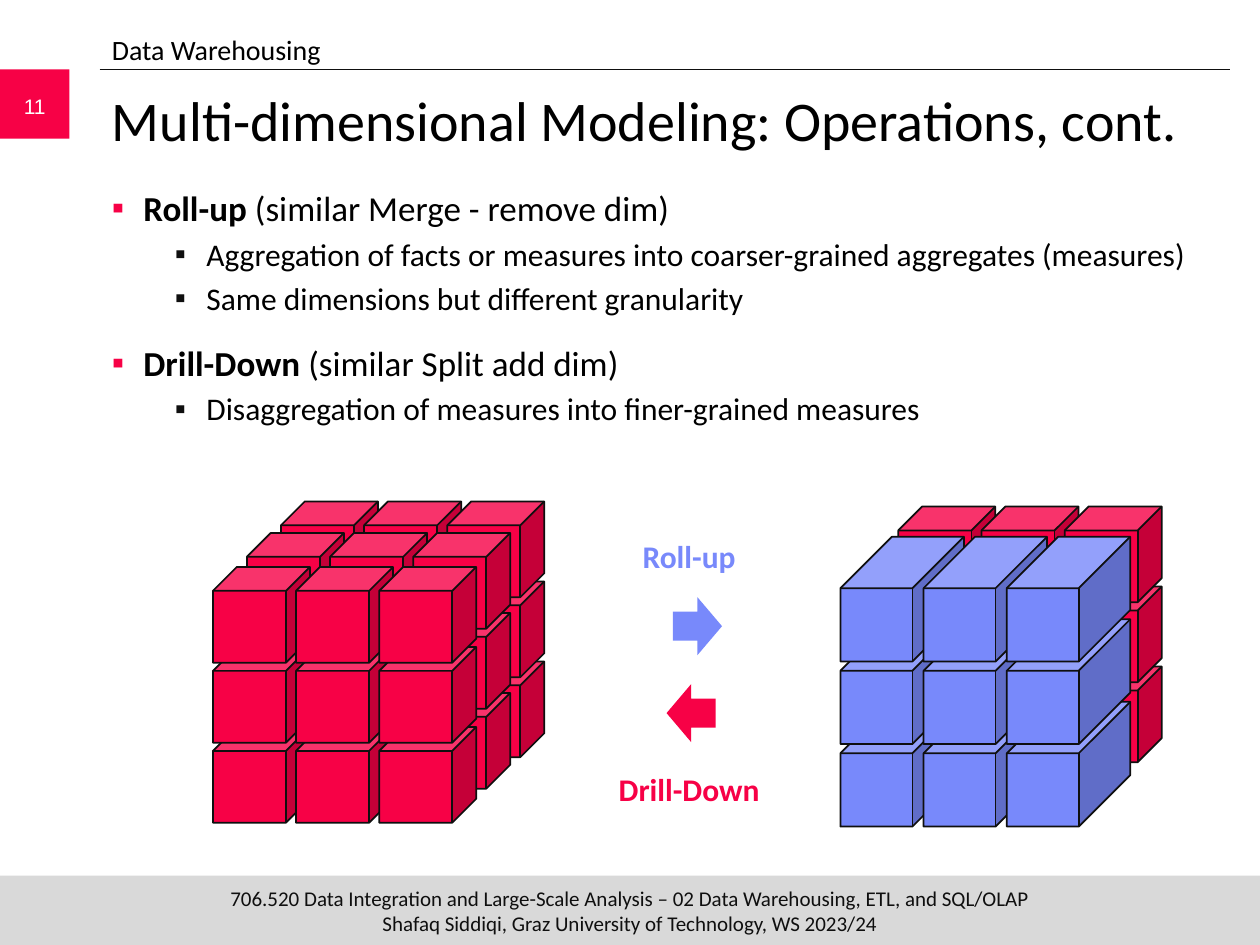
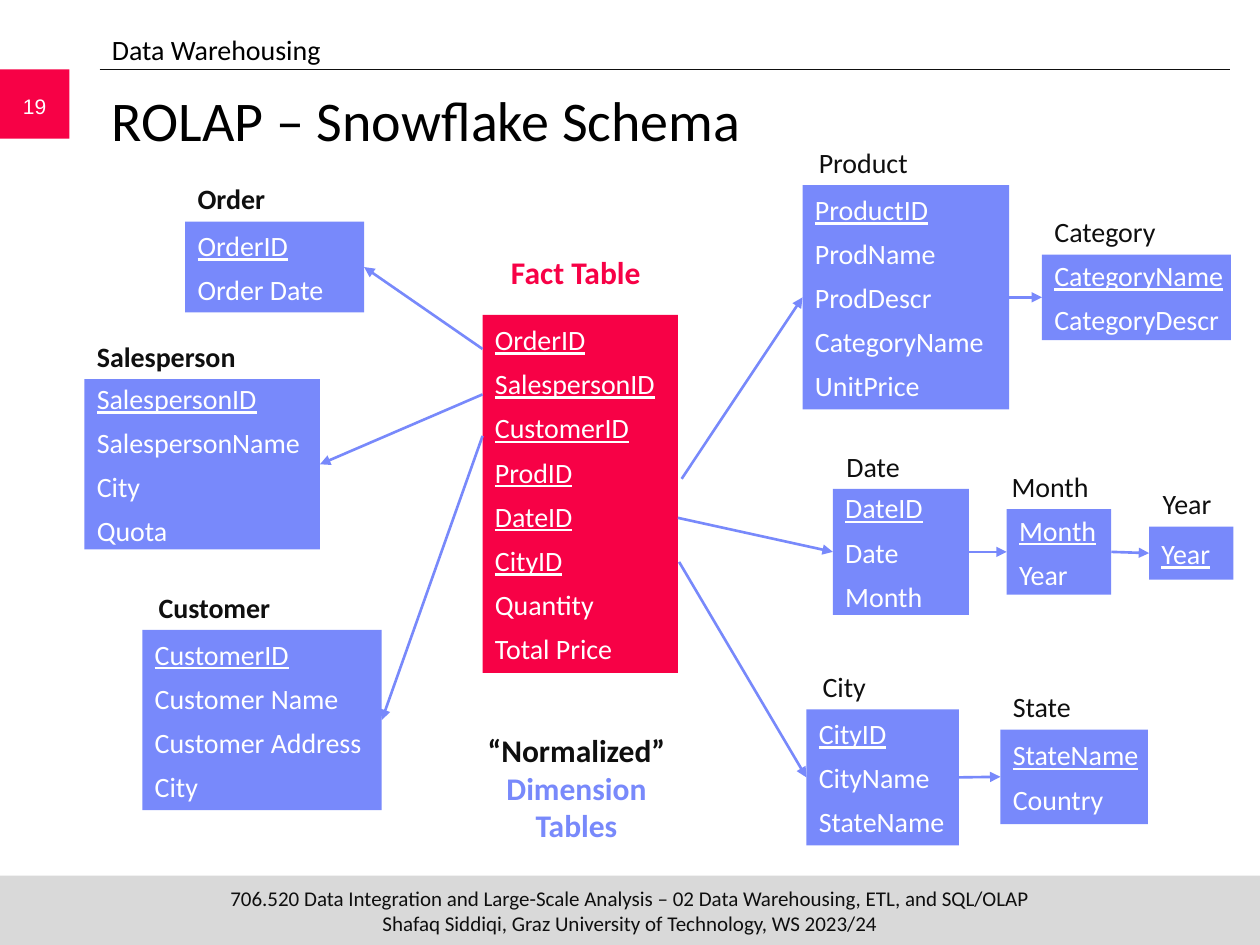
from lxml.etree import SubElement
from pptx import Presentation
from pptx.dml.color import RGBColor
from pptx.enum.shapes import MSO_CONNECTOR, MSO_SHAPE as Shape
from pptx.enum.text import MSO_ANCHOR as Anchor, PP_ALIGN as Align
from pptx.oxml.ns import qn
from pptx.util import Inches, Pt

COLORS = {"red": "F70146", "blue": "7889FB", "ink": "0F0F0F",
          "black": "000000", "white": "FFFFFF", "band": "D9D9D9"}
FOOTER = ("706.520 Data Integration and Large-Scale Analysis – "
          "02 Data Warehousing, ETL, and SQL/OLAP\v"
          "Shafaq Siddiqi, Graz University of Technology, WS 2023/24")
INSETS = (0.1, 0.05, 0.1, 0.05)


def rgb(name):
    return RGBColor.from_string(COLORS[name])


class Deck:
    """Holds the shared style and the slide being built."""

    def __init__(self):
        self.prs = Presentation()
        self.prs.slide_width, self.prs.slide_height = Inches(10), Inches(7.5)
        self.slide = None

    def new_slide(self, number, title):
        self.slide = self.prs.slides.add_slide(self.prs.slide_layouts[6])
        self.shape(Shape.RECTANGLE, (0, 6.95, 10, 0.55), "band")
        rule = self.line((0.79, 0.55), (9.76, 0.55), "ink", 0.5)
        self.shape(Shape.RECTANGLE, (0, 0.55, 0.55, 0.55), "red")
        centered = {"align": Align.CENTER, "anchor": Anchor.MIDDLE}
        self.text((0, 0.64, 0.55, 0.4), number, 12, "white", font="Arial", **centered)
        self.text((0, 6.95, 10, 0.55), FOOTER, 12, "ink", insets=(0, 0, 0, 0), **centered)
        self.text((0.79, 0.63, 8.96, 0.83), title, 32, "black")
        self.text((0.79, 0.21, 9, 0.36), "Data Warehousing", 16, "black")
        return rule

    def run(self, paragraph, text, size, color, font="Calibri", **style):
        run = paragraph.add_run()
        run.text = text
        for key, value in {"name": font, "size": Pt(size), **style}.items():
            setattr(run.font, key, value)
        run.font.color.rgb = rgb(color)

    def frame(self, box, anchor=Anchor.TOP, insets=INSETS, wrap=True):
        """Prepare the text frame of a shape and return it."""
        frame = box.text_frame
        settings = {"word_wrap": wrap, "vertical_anchor": anchor}
        sides = ("left", "top", "right", "bottom")
        settings.update({f"margin_{s}": Inches(i) for s, i in zip(sides, insets)})
        for key, value in settings.items():
            setattr(frame, key, value)
        return frame

    def textbox(self, at, **layout):
        return self.frame(self.slide.shapes.add_textbox(*map(Inches, at)), **layout)

    def text(self, at, text, size, color, align=Align.LEFT, anchor=Anchor.TOP,
             insets=INSETS, **style):
        """Add a one-paragraph box; \\v starts a new line."""
        paragraph = self.textbox(at, anchor=anchor, insets=insets).paragraphs[0]
        paragraph.alignment = align
        for i, part in enumerate(text.split("\v")):
            if i:
                paragraph.add_line_break()
            self.run(paragraph, part, size, color, **style)
        return paragraph

    def bullets(self, at, items):
        """Add (level, bold lead, rest, points before) items."""
        frame = self.textbox(at)
        for i, (level, lead, rest, before) in enumerate(items):
            paragraph = frame.add_paragraph() if i else frame.paragraphs[0]
            paragraph.level = level
            paragraph.space_before = Pt(before)
            props = paragraph._p.get_or_add_pPr()
            props.set("marL", str(Inches((0.25, 0.75)[level])))
            props.set("indent", str(Inches(-0.25)))
            tint = SubElement(props, qn("a:buClr"))
            SubElement(tint, qn("a:srgbClr"), val=COLORS[("red", "ink")[level]])
            SubElement(props, qn("a:buFont"), typeface="Arial")
            SubElement(props, qn("a:buChar"), char="▪")
            size = (20, 18)[level]
            if lead:
                self.run(paragraph, lead, size, "black", bold=True)
            self.run(paragraph, rest, size, "black")

    def shape(self, kind, at, fill, outline=None):
        shape = self.slide.shapes.add_shape(kind, *map(Inches, at))
        shape.shadow.inherit = False
        shape.fill.solid()
        shape.fill.fore_color.rgb = rgb(fill)
        if outline:
            shape.line.color.rgb = rgb(outline)
            shape.line.width = Pt(1)
        else:
            shape.line.fill.background()
        return shape

    def line(self, start, end, color, width):
        line = self.slide.shapes.add_connector(
            MSO_CONNECTOR.STRAIGHT, *map(Inches, (*start, *end)))
        line.line.color.rgb = rgb(color)
        line.line.width = Pt(width)
        SubElement(line._element.spPr, qn("a:effectLst"))
        return line

    def arrow(self, target, source=None, start=(0, 0), target_site=1):
        """Point at a side of target (1 left, 3 right) from source's right side or from start."""
        arrow = self.line(start, start, "blue", 1.5)
        if source:
            arrow.begin_connect(source, 3)
        arrow.end_connect(target, target_site)
        SubElement(arrow.line._get_or_add_ln(), qn("a:tailEnd"), type="triangle")

    def cubes(self, left, top, step, size, fill, depth=0.25):
        """Stack a 3 by 3 layer of cubes, bottom row first."""
        for row in (2, 1, 0):
            for column in range(3):
                at = (left + column * step[0], top + row * step[1], *size)
                cube = self.shape(Shape.CUBE, at, fill, "ink")
                cube.adjustments[0] = depth

    def entity(self, at, fields, keys=1, fill="blue"):
        """Add a schema table whose first fields are underlined keys."""
        box = self.shape(Shape.RECTANGLE, at, fill)
        frame = self.frame(box, anchor=Anchor.MIDDLE, wrap=False)
        for i, field in enumerate(fields):
            paragraph = frame.add_paragraph() if i else frame.paragraphs[0]
            paragraph.alignment = Align.LEFT
            paragraph.space_before = Pt(6 if i else 0)
            self.run(paragraph, field, 16, "white", underline=i < keys)
        return box


def build_operations(deck):
    deck.new_slide("11", "Multi-dimensional Modeling: Operations, cont.")
    deck.bullets((0.79, 1.43, 8.96, 2.2), [
        (0, "Roll-up ", "(similar Merge - remove dim)", 0),
        (1, "", "Aggregation of facts or measures into coarser-grained aggregates (measures)", 3.6),
        (1, "", "Same dimensions but different granularity", 3.6),
        (0, "Drill-Down ", "(similar Split add dim)", 14),
        (1, "", "Disaggregation of measures into finer-grained measures", 3.6),
    ])
    for left, top in ((2.23, 3.98), (1.96, 4.23), (1.69, 4.5), (7.13, 4.02)):
        deck.cubes(left, top, (0.66, 0.635), (0.77, 0.76), "red")
    deck.cubes(6.67, 4.26, (0.66, 0.655), (0.98, 0.99), "blue", 0.417)

    deck.shape(Shape.RIGHT_ARROW, (5.34, 4.74, 0.39, 0.46), "blue")
    deck.shape(Shape.LEFT_ARROW, (5.29, 5.43, 0.39, 0.46), "red")
    for name, top, color in (("Roll-up", 4.21, "blue"), ("Drill-Down", 6.06, "red")):
        deck.text((4.79, top, 1.36, 0.4), name, 18, color, align=Align.CENTER,
                  insets=(0, 0.05, 0, 0.05), bold=True)


def build_snowflake(deck):
    deck.new_slide("19", "ROLAP – Snowflake Schema")
    # name: (box, label shift, label width, bold label, fields)
    dimensions = {
        "Date": ((6.61, 3.88, 1.08, 1), 0.01, 0.64, False, ["DateID", "Date", "Month"]),
        "City": ((6.4, 5.63, 1.21, 1.08), 0.03, 0.57, False,
                 ["CityID", "CityName", "StateName"]),
        "Product": ((6.37, 1.47, 1.64, 1.78), 0.03, 1.25, False,
                    ["ProductID", "ProdName", "ProdDescr", "CategoryName", "UnitPrice"]),
        "Category": ((8.27, 2.02, 1.5, 0.68), 0, 1.09, False,
                     ["CategoryName", "CategoryDescr"]),
        "State": ((7.94, 5.79, 1.17, 0.75), 0, 0.69, False, ["StateName", "Country"]),
        "Month": ((7.99, 4.04, 0.83, 0.68), -0.06, 0.94, False, ["Month", "Year"]),
        "Year": ((9.12, 4.18, 0.67, 0.42), 0.01, 0.64, False, ["Year"]),
        "Customer": ((1.13, 5, 1.9, 1.43), 0.03, 1.48, True,
                     ["CustomerID", "Customer Name", "Customer Address", "City"]),
        "Salesperson": ((0.67, 3.01, 1.87, 1.35), 0, 1.48, True,
                        ["SalespersonID", "SalespersonName", "City", "Quota"]),
        "Order": ((1.47, 1.76, 1.42, 0.72), 0, 1.25, True, ["OrderID", "Order Date"]),
    }
    tables = {}
    for name, (at, shift, width, bold, fields) in dimensions.items():
        tables[name] = deck.entity(at, fields)
        deck.text((at[0] + shift, at[1] - 0.37, width, 0.37), name, 16, "ink",
                  anchor=Anchor.BOTTOM, bold=bold)

    deck.entity((3.83, 2.5, 1.55, 2.84),
                ["OrderID", "SalespersonID", "CustomerID", "ProdID", "DateID", "CityID",
                 "Quantity", "Total Price"], keys=6, fill="red")
    heading = {"align": Align.CENTER, "anchor": Anchor.BOTTOM, "bold": True}
    deck.text((3.79, 1.96, 1.56, 0.4), "Fact Table", 18, "red", **heading)

    for name, y in (("Order", 2.77), ("Salesperson", 3.13), ("Customer", 3.46)):
        deck.arrow(tables[name], start=(3.83, y), target_site=3)
    for name, start in (("Product", (5.41, 3.8)), ("Date", (5.38, 4.11)),
                        ("City", (5.39, 4.46))):
        deck.arrow(tables[name], start=start)
    for detail, parent in (("Product", "Category"), ("Date", "Month"),
                           ("Month", "Year"), ("City", "State")):
        deck.arrow(tables[parent], source=tables[detail])

    caption = deck.text((3.57, 5.74, 2.01, 1.01), "“Normalized”", 18, "ink", **heading)
    caption.add_line_break()
    deck.run(caption, "Dimension Tables", 18, "blue", bold=True)


def main():
    deck = Deck()
    build_operations(deck)
    build_snowflake(deck)
    deck.prs.save("out.pptx")


if __name__ == "__main__":
    main()
